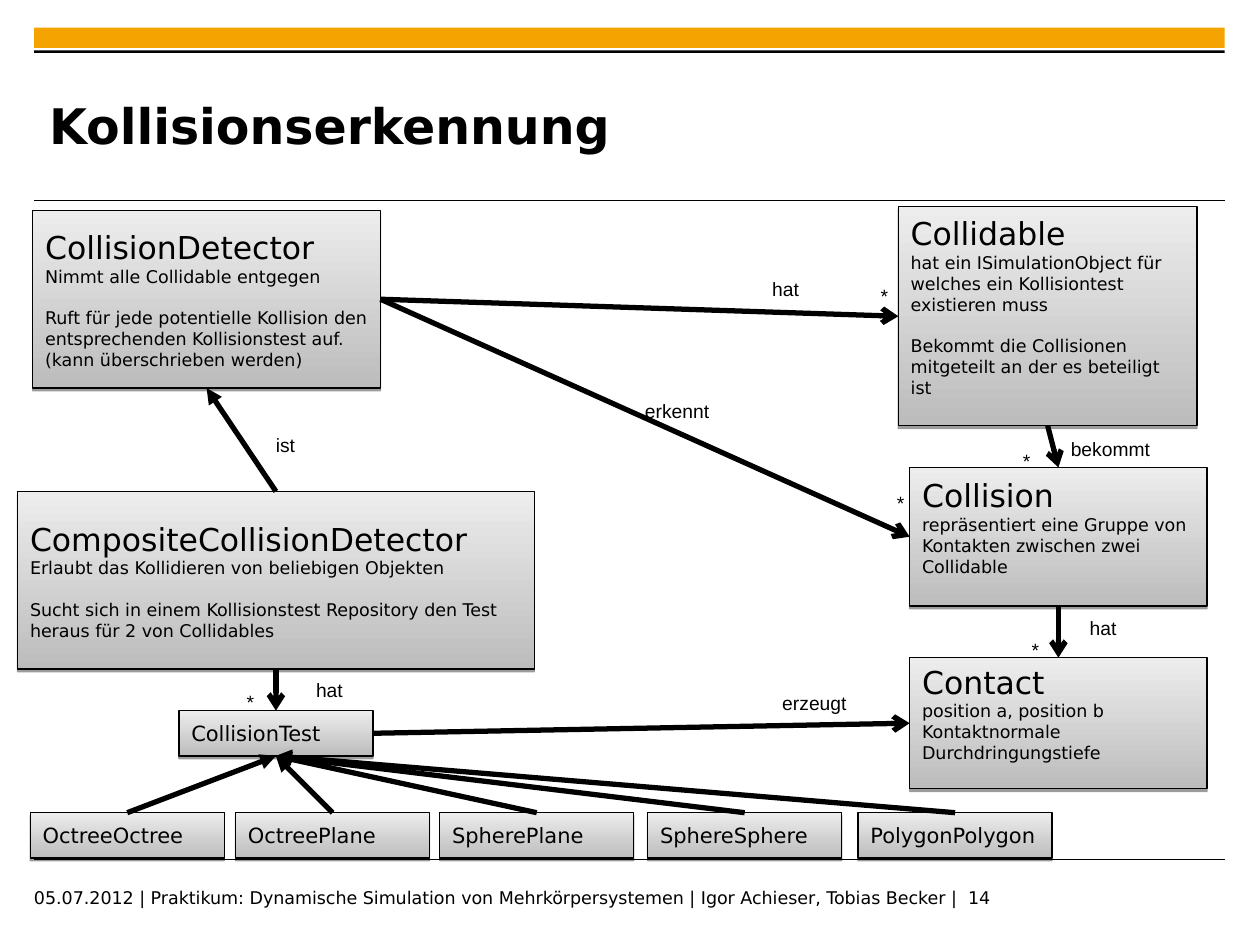
from lxml import etree
from pptx import Presentation
from pptx import util as u
from pptx.dml.color import RGBColor
from pptx.enum import shapes, text
from pptx.oxml.ns import qn

COLORS = {"black": "000000", "accent": "F5A300", "dark": "BCBCBC", "light": "EDEDED"}
SANS, LABEL_FONT = "DejaVu Sans", "Arial"
BLANK_LINE = 11.64  # points, one line of 10 pt text
TOP, LEFT, BOTTOM, RIGHT = range(4)  # connection sites of a rectangle


def color(name):
    return RGBColor.from_string(COLORS[name])


def inches(*values):
    return [u.Inches(value) for value in values]


class Diagram:
    def __init__(self, page):
        self.page = page

    def style(self, para, size, font=SANS, bold=False):
        para.alignment = text.PP_ALIGN.LEFT
        para.font.size = u.Pt(size)
        para.font.name = font
        para.font.bold = bold
        para.font.color.rgb = color("black")

    def margins(self, frame, horizontal, vertical):
        frame.margin_left = frame.margin_right = u.Inches(horizontal)
        frame.margin_top = frame.margin_bottom = u.Inches(vertical)

    def title(self, words, *area):
        box = self.page.shapes.title
        box.left, box.top, box.width, box.height = inches(*area)
        frame = box.text_frame
        frame.text = words
        frame.vertical_anchor = text.MSO_ANCHOR.MIDDLE
        self.margins(frame, 0, 0)
        self.style(frame.paragraphs[0], 28, bold=True)

    def footer(self, words, *area):
        frame = self.page.shapes.add_textbox(*inches(*area)).text_frame
        frame.word_wrap = True
        frame.text = words
        self.margins(frame, 0, 0)
        self.style(frame.paragraphs[0], 10)

    def bar(self, fill, *area):
        box = self.page.shapes.add_shape(shapes.MSO_SHAPE.RECTANGLE, *inches(*area))
        box.shadow.inherit = False
        box.fill.solid()
        box.fill.fore_color.rgb = color(fill)
        box.line.fill.background()

    def line(self, start, end, width):
        line = self.page.shapes.add_connector(
            shapes.MSO_CONNECTOR.STRAIGHT, *inches(*start, *end))
        line.line.width = u.Pt(width)
        line.line.color.rgb = color("black")
        etree.SubElement(line._element.spPr, qn("a:effectLst"))
        return line

    def arrow(self, source, source_site, target, target_site, head="arrow"):
        line = self.line((0, 0), (1, 1), 3)
        line.begin_connect(source, source_site)
        line.end_connect(target, target_site)
        etree.SubElement(line.line._get_or_add_ln(), qn("a:tailEnd"), type=head)

    def drop_shadow(self, box):
        box.shadow.inherit = False
        effects = box._element.spPr.find(qn("a:effectLst"))
        shadow = etree.SubElement(effects, qn("a:outerShdw"), blurRad="0",
                                  dist=str(u.Pt(1.6)), dir="5400000", rotWithShape="0")
        shade = etree.SubElement(shadow, qn("a:srgbClr"), val=COLORS["black"])
        etree.SubElement(shade, qn("a:alpha"), val="38000")

    def card(self, area, name, lines=(), name_size=18, gap_before=None, lifted=False):
        """Class box; gap_before is the line after a blank line, lifted leaves one below."""
        box = self.page.shapes.add_shape(shapes.MSO_SHAPE.RECTANGLE, *inches(*area))
        box.fill.gradient()
        box.fill.gradient_angle = 90
        for stop, position, shade in zip(box.fill.gradient_stops, (0, 1), ("dark", "light")):
            stop.position = position
            stop.color.rgb = color(shade)
        box.line.color.rgb = color("black")
        box.line.width = u.Pt(0.75)
        self.drop_shadow(box)
        frame = box.text_frame
        frame.word_wrap = True
        frame.vertical_anchor = text.MSO_ANCHOR.MIDDLE
        self.margins(frame, 0.1, 0.05)
        if lifted:
            frame.margin_bottom += u.Pt(BLANK_LINE)
        frame.text = "\n".join([name, *lines])
        for index, para in enumerate(frame.paragraphs):
            if index and index == gap_before:
                para.space_before = u.Pt(BLANK_LINE)
            self.style(para, 10 if index else name_size)
        return box

    def label(self, words, left, top, width):
        box = self.page.shapes.add_textbox(*inches(left, top, width, 0.29))
        frame = box.text_frame
        frame.word_wrap = False
        frame.auto_size = text.MSO_AUTO_SIZE.SHAPE_TO_FIT_TEXT
        frame.text = words
        self.style(frame.paragraphs[0], 11, LABEL_FONT)


def main():
    deck = Presentation()
    deck.slide_width, deck.slide_height = inches(10, 7.5)
    diagram = Diagram(deck.slides.add_slide(deck.slide_layouts[5]))

    diagram.bar("accent", 0.27, 0.22, 9.45, 0.16)
    diagram.bar("black", 0.27, 0.4, 9.45, 0.02)
    for y in (1.59, 6.82):
        diagram.line((0.27, y), (9.72, y), 0.6)
    diagram.title("Kollisionserkennung", 0.39, 0.53, 7.52, 0.92)
    diagram.footer("05.07.2012 | Praktikum: Dynamische Simulation von Mehrkörpersystemen"
                   " | Igor Achieser, Tobias Becker |  14", 0.27, 7.04, 7.87, 0.25)

    detector = diagram.card((0.26, 1.67, 2.76, 1.41), "CollisionDetector", [
        "Nimmt alle Collidable entgegen",
        "Ruft für jede potentielle Kollision den entsprechenden Kollisionstest auf. "
        "(kann überschrieben werden)"], gap_before=2)
    collidable = diagram.card((7.13, 1.64, 2.37, 1.74), "Collidable", [
        "hat ein ISimulationObject für welches ein Kollisiontest existieren muss",
        "Bekommt die Collisionen mitgeteilt an der es beteiligt ist"],
        gap_before=2, lifted=True)
    composite = diagram.card((0.14, 3.9, 4.1, 1.41), "CompositeCollisionDetector", [
        "Erlaubt das Kollidieren von beliebigen Objekten",
        "Sucht sich in einem Kollisionstest Repository den Test heraus für 2 von "
        "Collidables"], gap_before=2)
    collision = diagram.card((7.22, 3.71, 2.36, 1.1), "Collision", [
        "repräsentiert eine Gruppe von Kontakten zwischen zwei Collidable"], lifted=True)
    contact = diagram.card((7.22, 5.22, 2.36, 1.04), "Contact", [
        "position a, position b", "Kontaktnormale", "Durchdringungstiefe"], lifted=True)
    test = diagram.card((1.42, 5.64, 1.54, 0.36), "CollisionTest", name_size=12)

    special_tests = {"OctreeOctree": 0.24, "OctreePlane": 1.87, "SpherePlane": 3.49,
                     "SphereSphere": 5.14, "PolygonPolygon": 6.81}
    for name, left in special_tests.items():
        special = diagram.card((left, 6.45, 1.54, 0.36), name, name_size=12)
        diagram.arrow(special, TOP, test, BOTTOM, "triangle")

    diagram.arrow(composite, TOP, detector, BOTTOM, "triangle")
    diagram.arrow(detector, RIGHT, collidable, LEFT)
    diagram.arrow(detector, RIGHT, collision, LEFT)
    diagram.arrow(collidable, BOTTOM, collision, TOP)
    diagram.arrow(collision, BOTTOM, contact, TOP)
    diagram.arrow(composite, BOTTOM, test, TOP)
    diagram.arrow(test, RIGHT, contact, LEFT)

    for words, left, top, width in [
            ("hat", 6.03, 2.15, 0.41), ("ist", 2.09, 3.39, 0.35),
            ("erkennt", 5.02, 3.12, 0.71), ("bekommt", 8.4, 3.42, 0.83),
            ("hat", 8.55, 4.84, 0.41), ("hat", 2.41, 5.33, 0.41),
            ("erzeugt", 6.11, 5.44, 0.71)]:
        diagram.label(words, left, top, width)
    for left, top in [(8.09, 5.02), (8.02, 3.52), (7.02, 3.85), (6.89, 2.21), (1.86, 5.43)]:
        diagram.label("*", left, top, 0.26)

    deck.save("out.pptx")


if __name__ == "__main__":
    main()
